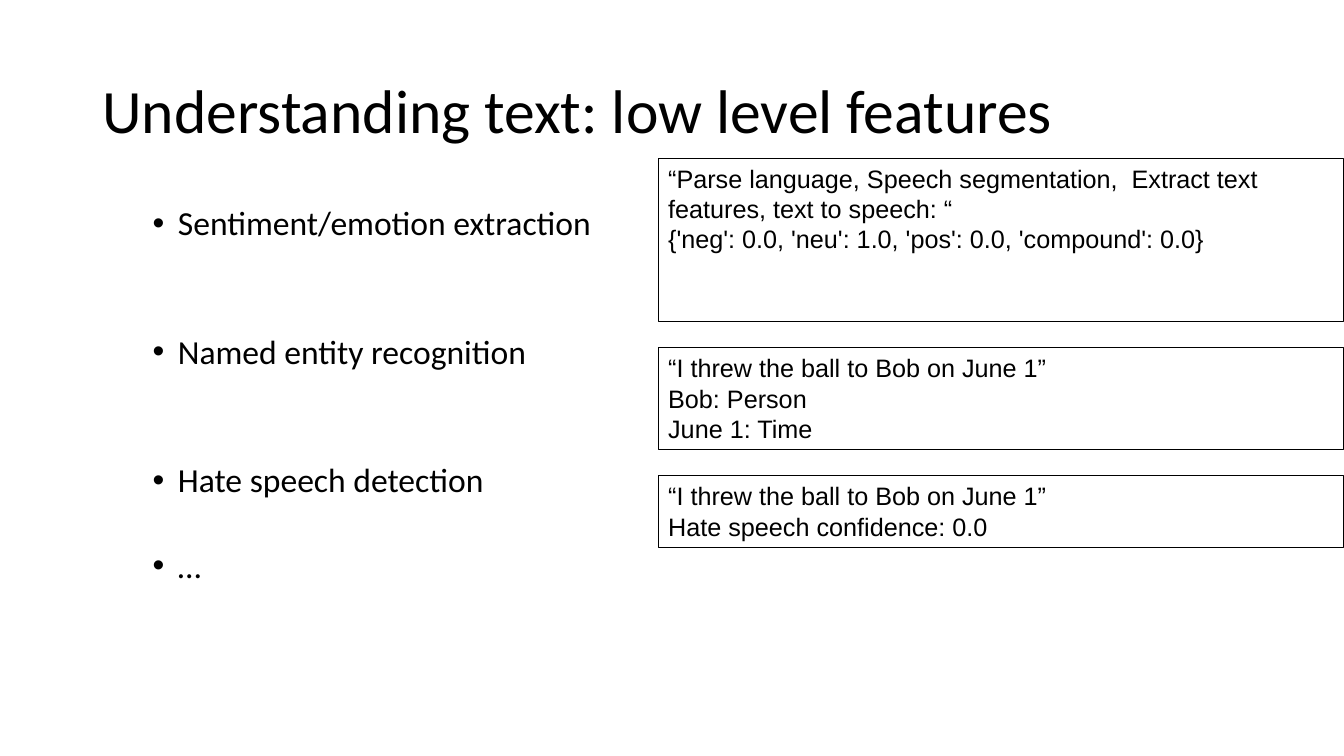
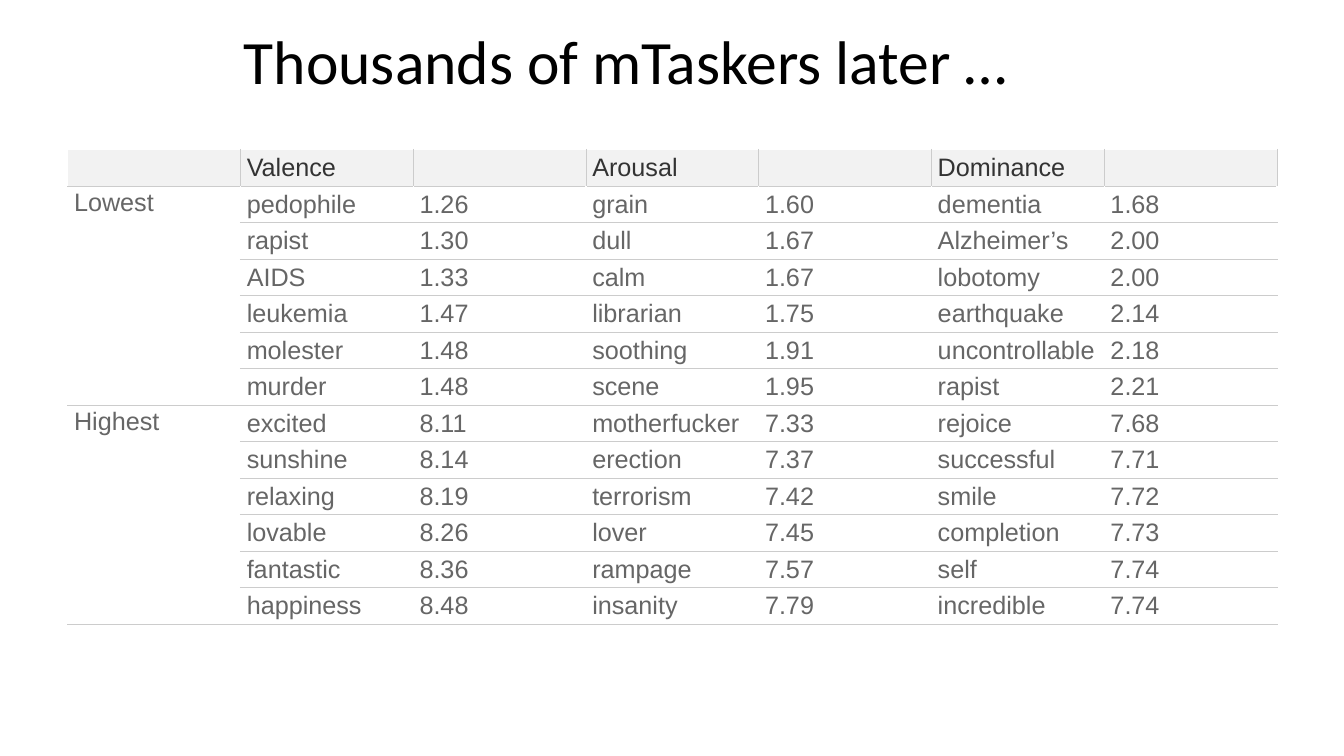
from dataclasses import dataclass
from typing import Any

from lxml.etree import SubElement
from pptx import Presentation
from pptx.dml.color import RGBColor
from pptx.enum.shapes import MSO_SHAPE
from pptx.enum.text import MSO_ANCHOR, MSO_AUTO_SIZE, PP_ALIGN
from pptx.oxml.ns import qn
from pptx.slide import Slide
from pptx.util import Pt

BLACK = "000000"
WHITE = "FFFFFF"
HEADER_FILL = "F2F2F2"
HEADER_TEXT = "333333"
RATING_TEXT = "666666"
RULE = "CCCCCC"

TITLE_FONT = {"name": "Calibri", "size": Pt(44), "bold": False}
FEATURE_FONT = {"name": "Calibri", "size": Pt(24)}
DETAIL_FONT = {"name": "Arial", "size": Pt(18), "bold": False}
FRAME = {
    "word_wrap": True,
    "auto_size": MSO_AUTO_SIZE.NONE,
    "margin_left": Pt(7.2),
    "margin_right": Pt(7.2),
    "margin_top": Pt(3.6),
    "margin_bottom": Pt(3.6),
}
CELL = {
    "margin_left": Pt(4.5),
    "margin_right": Pt(4.5),
    "margin_top": Pt(2),
    "margin_bottom": Pt(2),
    "vertical_anchor": MSO_ANCHOR.MIDDLE,
}
COLUMN_WIDTH = 123.4
ROW_HEIGHT = 26.1


@dataclass(frozen=True)
class Area:
    left: float
    top: float
    width: float
    height: float

    def lengths(self) -> tuple[Pt, Pt, Pt, Pt]:
        return Pt(self.left), Pt(self.top), Pt(self.width), Pt(self.height)


@dataclass(frozen=True)
class Feature:
    label: str
    space_before: float


@dataclass(frozen=True)
class Example:
    top: float
    height: float
    text: str


@dataclass(frozen=True)
class Group:
    label: str
    ratings: tuple[tuple[str, ...], ...]


FEATURES = (
    Feature("Sentiment/emotion extraction", 0),
    Feature("Named entity recognition", 66),
    Feature("Hate speech detection", 66),
    Feature("…", 35),
)
EXAMPLES = (
    Example(113, 116.6, "“Parse language, Speech segmentation,  Extract text features, "
            "text to speech: “\v{'neg': 0.0, 'neu': 1.0, 'pos': 0.0, 'compound': 0.0}"),
    Example(248.4, 72.7, "“I threw the ball to Bob on June 1”\vBob: Person\vJune 1: Time"),
    Example(339.8, 51.1, "“I threw the ball to Bob on June 1”\vHate speech confidence: 0.0"),
)
HEADINGS = ("", "Valence", "", "Arousal", "", "Dominance", "")
GROUPS = (
    Group("Lowest", (
        ("pedophile", "1.26", "grain", "1.60", "dementia", "1.68"),
        ("rapist", "1.30", "dull", "1.67", "Alzheimer’s", "2.00"),
        ("AIDS", "1.33", "calm", "1.67", "lobotomy", "2.00"),
        ("leukemia", "1.47", "librarian", "1.75", "earthquake", "2.14"),
        ("molester", "1.48", "soothing", "1.91", "uncontrollable", "2.18"),
        ("murder", "1.48", "scene", "1.95", "rapist", "2.21"),
    )),
    Group("Highest", (
        ("excited", "8.11", "motherfucker", "7.33", "rejoice", "7.68"),
        ("sunshine", "8.14", "erection", "7.37", "successful", "7.71"),
        ("relaxing", "8.19", "terrorism", "7.42", "smile", "7.72"),
        ("lovable", "8.26", "lover", "7.45", "completion", "7.73"),
        ("fantastic", "8.36", "rampage", "7.57", "self", "7.74"),
        ("happiness", "8.48", "insanity", "7.79", "incredible", "7.74"),
    )),
)


def color(value: str) -> RGBColor:
    return RGBColor.from_string(value)


def apply(target: Any, values: dict[str, Any]) -> None:
    for name, value in values.items():
        setattr(target, name, value)


def style_font(font: Any, values: dict[str, Any], ink: str = BLACK) -> None:
    apply(font, values)
    font.color.rgb = color(ink)


def add_titled_slide(deck: Any, text: str, area: Area, paragraph_format: dict[str, Any]) -> Slide:
    slide = deck.slides.add_slide(deck.slide_layouts[5])
    title = slide.shapes.title
    title.left, title.top, title.width, title.height = area.lengths()
    apply(title.text_frame, FRAME | {"vertical_anchor": MSO_ANCHOR.MIDDLE})
    title.text_frame.text = text
    heading = title.text_frame.paragraphs[0]
    apply(heading, paragraph_format)
    style_font(heading.runs[0].font, TITLE_FONT)
    return slide


def add_bullet(paragraph: Any) -> None:
    properties = paragraph._p.get_or_add_pPr()
    properties.set("marL", str(Pt(54)))
    properties.set("indent", str(-Pt(18)))
    SubElement(SubElement(properties, qn("a:buClr")), qn("a:srgbClr"), val=BLACK)
    SubElement(properties, qn("a:buFont"), typeface="Arial")
    SubElement(properties, qn("a:buChar"), char="•")


def add_features(slide: Slide, area: Area) -> None:
    frame = slide.shapes.add_textbox(*area.lengths()).text_frame
    apply(frame, FRAME)
    for index, feature in enumerate(FEATURES):
        paragraph = frame.add_paragraph() if index else frame.paragraphs[0]
        add_bullet(paragraph)
        apply(paragraph, {"line_spacing": 0.9, "space_before": Pt(feature.space_before)})
        run = paragraph.add_run()
        run.text = feature.label
        style_font(run.font, FEATURE_FONT)


def add_example(slide: Slide, example: Example) -> None:
    area = Area(470.2, example.top, 489.6, example.height)
    panel = slide.shapes.add_shape(MSO_SHAPE.RECTANGLE, *area.lengths())
    panel.shadow.inherit = False
    panel.fill.background()
    panel.line.color.rgb = color(BLACK)
    panel.line.width = Pt(0.75)
    apply(panel.text_frame, FRAME | {"vertical_anchor": MSO_ANCHOR.TOP})
    paragraph = panel.text_frame.paragraphs[0]
    paragraph.text = example.text
    paragraph.alignment = PP_ALIGN.LEFT
    for run in paragraph.runs:
        style_font(run.font, DETAIL_FONT)


def add_borders(cell: Any, sides: str) -> None:
    properties = cell._tc.get_or_add_tcPr()
    for side in sides:
        border = SubElement(properties, qn(f"a:ln{side}"), w=str(Pt(0.75)))
        SubElement(SubElement(border, qn("a:solidFill")), qn("a:srgbClr"), val=RULE)


def fill_cell(cell: Any, text: str, ink: str, fill: str, sides: str) -> None:
    add_borders(cell, sides)
    apply(cell, CELL)
    cell.fill.solid()
    cell.fill.fore_color.rgb = color(fill)
    if text:
        run = cell.text_frame.paragraphs[0].add_run()
        run.text = text
        style_font(run.font, DETAIL_FONT, ink)


def label_sides(index: int, count: int) -> str:
    if index == 0:
        return "TB"
    return "B" if index == count - 1 else ""


def add_ratings(slide: Slide, left: float, top: float) -> None:
    row_count = 1 + sum(len(group.ratings) for group in GROUPS)
    column_count = len(HEADINGS)
    area = Area(left, top, column_count * COLUMN_WIDTH, row_count * ROW_HEIGHT)
    table = slide.shapes.add_table(row_count, column_count, *area.lengths()).table
    apply(table, {"first_row": False, "horz_banding": False})
    for column in table.columns:
        column.width = Pt(COLUMN_WIDTH)
    for row in table.rows:
        row.height = Pt(ROW_HEIGHT)
    for position, heading in enumerate(HEADINGS):
        sides = "LRB" if position else "RB"
        fill_cell(table.cell(0, position), heading, HEADER_TEXT, HEADER_FILL, sides)
    first = 1
    for group in GROUPS:
        count = len(group.ratings)
        for index, ratings in enumerate(group.ratings):
            label = "" if index else group.label
            for position, text in enumerate((label, *ratings)):
                sides = "TB" if position else label_sides(index, count)
                fill_cell(table.cell(first + index, position), text, RATING_TEXT, WHITE, sides)
        origin = table.cell(first, 0)
        origin.vertical_anchor = MSO_ANCHOR.TOP
        origin.merge(table.cell(first + count - 1, 0))
        first += count


def main() -> None:
    deck = Presentation()
    deck.slide_width, deck.slide_height = Pt(960), Pt(540)

    features = add_titled_slide(
        deck, "Understanding text: low level features", Area(66, 28.8, 828, 104.4),
        {"alignment": PP_ALIGN.LEFT, "line_spacing": 0.9},
    )
    add_features(features, Area(66, 144, 828, 342.7))
    for example in EXAMPLES:
        add_example(features, example)

    ratings = add_titled_slide(
        deck, "Thousands of mTaskers later … ", Area(48.2, 17.3, 807.8, 50.4),
        {"alignment": PP_ALIGN.CENTER},
    )
    add_ratings(ratings, 48.4, 106.8)

    deck.save("out.pptx")


if __name__ == "__main__":
    main()
